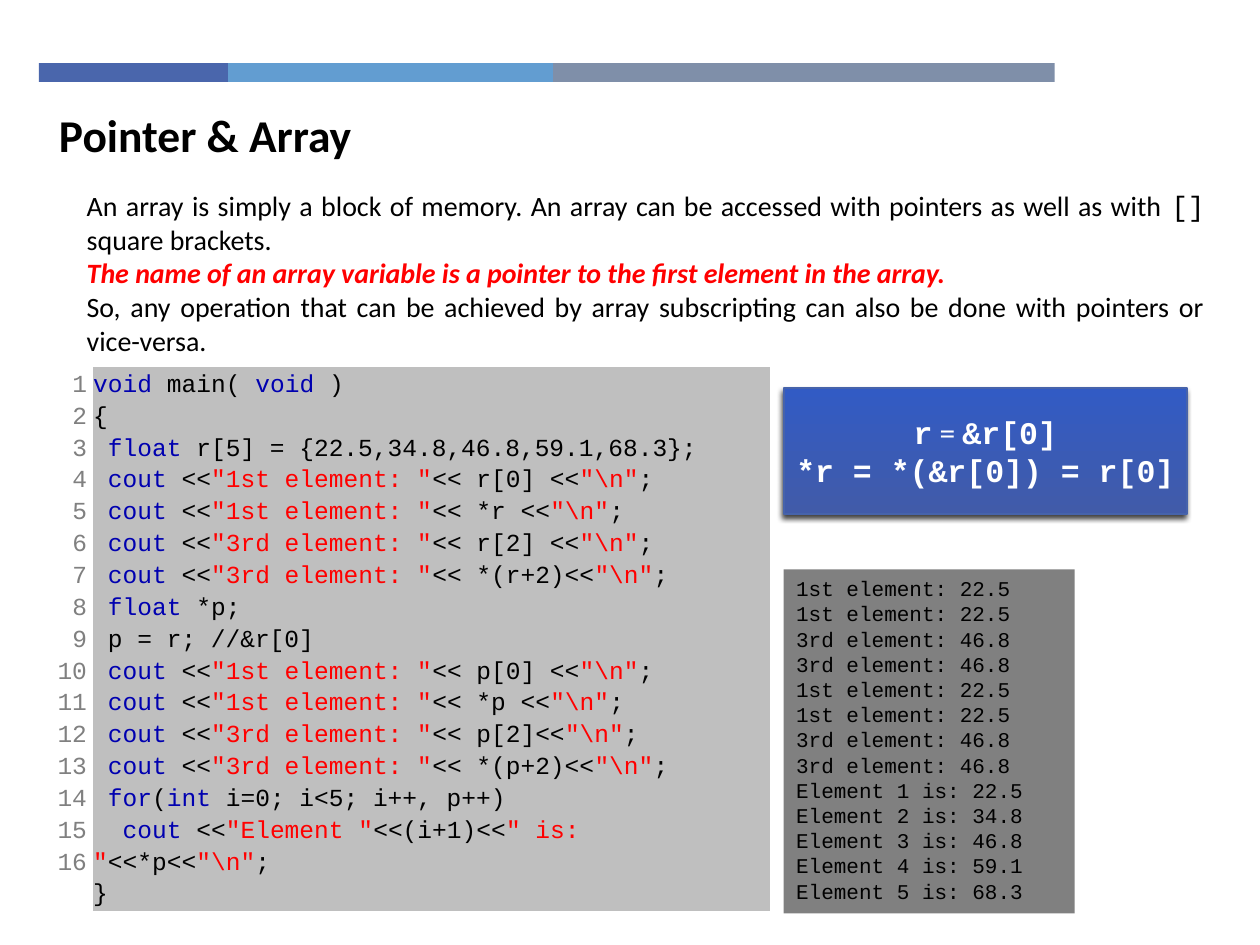
from lxml.etree import SubElement
from pptx import Presentation
from pptx.dml.color import RGBColor
from pptx.enum.shapes import MSO_SHAPE
from pptx.enum.text import MSO_ANCHOR, MSO_AUTO_SIZE, PP_ALIGN
from pptx.oxml.ns import qn
from pptx.util import Inches, Pt

# Content: code keywords stand between backticks, strings between quotes
TITLE = "Pointer & Array"
INTRO = [
    [("An array is simply a block of memory. An array can be accessed "
      "with pointers as well as with ", "body"),
     ("[]", "mono"), (" square brackets. ", "body")],
    [("The name of an array variable is a pointer to the first element "
      "in the array. ", "key")],
    [("So, any operation that can be achieved by array subscripting can "
      "also be done with pointers or vice-versa.", "body")],
]
CODE = r'''
`void` main( `void` )
{
 `float` r[5] = {22.5,34.8,46.8,59.1,68.3};
 `cout` <<"1st element: "<< r[0] <<"\n";
 `cout` <<"1st element: "<< *r <<"\n";
 `cout` <<"3rd element: "<< r[2] <<"\n";
 `cout` <<"3rd element: "<< *(r+2)<<"\n";
 `float` *p;
 p = r; //&r[0]
 `cout` <<"1st element: "<< p[0] <<"\n";
 `cout` <<"1st element: "<< *p <<"\n";
 `cout` <<"3rd element: "<< p[2]<<"\n";
 `cout` <<"3rd element: "<< *(p+2)<<"\n";
 `for`(`int `i=0; i<5; i++, p++)
  `cout` <<"Element "<<(i+1)<<" is: "<<*p<<"\n";
}
'''.strip().split("\n")
VALUES = [22.5, 34.8, 46.8, 59.1, 68.3]
FIRST, THIRD = f"1st element: {VALUES[0]}", f"3rd element: {VALUES[2]}"
OUTPUT = [FIRST, FIRST, THIRD, THIRD] * 2 + [
    f"Element {n} is: {v}" for n, v in enumerate(VALUES, 1)]
RULE = [
    [("r", "rule"), (" = ", "sign"), ("&r[0]", "rule")],
    [("*r = *(&r[0]) = r[0]", "rule")],
]
BARS = [(1.5, "4A66AC"), (2.58, "629DD1"), (3.98, "7F8FA9")]

# Theme: fills, then font, size, colour, bold and italic of each text style
SANS, MONO = "Calibri", "Courier New"
FILL = {"code": "BFBFBF", "output": "808080", "low": "415BA9",
        "high": "325BC4", "edge": "4663AB", "shade": "000000"}
THEME = {
    style: dict(zip(("name", "size", "color", "bold", "italic"), row))
    for style, row in {
        "title": (SANS, 26, "000000", True, False),
        "body": (SANS, 16, "000000", False, False),
        "mono": (MONO, 16, "000000", False, False),
        "key": (SANS, 16, "FF0000", True, True),
        "num": (MONO, 14, "808080", False, False),
        "plain": (MONO, 14, "000000", False, False),
        "word": (MONO, 14, "0000B0", False, False),
        "string": (MONO, 14, "FF0000", False, False),
        "output": (MONO, 12, "000000", False, False),
        "rule": (MONO, 18, "FFFFFF", True, False),
        "sign": (SANS, 18, "FFFFFF", False, False),
    }.items()
}


def rgb(code):
    return RGBColor.from_string(code)


def write(frame, paras, **form):
    """Fill a text frame; form holds the paragraph format values."""
    frame.word_wrap = True
    for i, runs in enumerate(paras):
        para = frame.paragraphs[0] if i == 0 else frame.add_paragraph()
        for name, value in form.items():
            setattr(para, name, value)
        for text, style in runs:
            run = para.add_run()
            run.text = text
            for name, value in THEME[style].items():
                if name == "color":
                    run.font.color.rgb = rgb(value)
                else:
                    setattr(run.font, name, Pt(value) if name == "size" else value)


def lex(line):
    """Cut a code line into (text, style) runs."""
    runs = []
    for i, part in enumerate(line.split('"')):
        if i % 2:
            runs.append((f'"{part}"', "string"))
        else:
            runs += [(bit, "word" if j % 2 else "plain")
                     for j, bit in enumerate(part.split("`")) if bit]
    return runs


def box(slide, area, fill=None):
    shape = slide.shapes.add_shape(MSO_SHAPE.RECTANGLE, *map(Inches, area))
    shape.shadow.inherit = False
    shape.line.fill.background()
    if fill:
        shape.fill.solid()
        shape.fill.fore_color.rgb = rgb(fill)
    return shape


def label(slide, area, paras, **form):
    text = slide.shapes.add_textbox(*map(Inches, area))
    write(text.text_frame, paras, **form)


def listing(slide):
    widths = (0.39, 5.39)
    area = map(Inches, (0.34, 2.91, sum(widths), 4.33))
    table = slide.shapes.add_table(1, 2, *area).table
    table.first_row = table.horz_banding = False
    for col, width in zip(table.columns, widths):
        col.width = Inches(width)
    nums = [[(str(n), "num")] for n in range(1, len(CODE) + 1)]
    cells = [(nums, PP_ALIGN.RIGHT, 0.04, None),
             (map(lex, CODE), PP_ALIGN.LEFT, 0.01, FILL["code"])]
    for cell, (paras, align, right, fill) in zip(table.rows[0].cells, cells):
        for side in ("left", "top", "bottom"):
            setattr(cell, f"margin_{side}", Inches(0.01))
        cell.margin_right = Inches(right)
        if fill:
            cell.fill.solid()
            cell.fill.fore_color.rgb = rgb(fill)
        else:
            cell.fill.background()
        write(cell.text_frame, paras, alignment=align, line_spacing=1.15)


def callout(slide):
    shape = box(slide, (6.22, 3.08, 3.2, 1))
    shape.fill.gradient()
    shape.fill.gradient_angle = 90
    for stop, tone in zip(shape.fill.gradient_stops, ("low", "high")):
        stop.color.rgb = rgb(FILL[tone])
    shape.line.color.rgb = rgb(FILL["edge"])
    shape.line.width = Pt(1)
    # Soft shadow below the box
    effects = shape._element.spPr.find(qn("a:effectLst"))
    shade = SubElement(effects, qn("a:outerShdw"), blurRad=str(Pt(3)),
                       dist=str(Pt(2)), dir=str(110 * 60000), rotWithShape="0")
    tone = SubElement(shade, qn("a:srgbClr"), val=FILL["shade"])
    SubElement(tone, qn("a:alpha"), val="75000")
    shape.text_frame.vertical_anchor = MSO_ANCHOR.MIDDLE
    write(shape.text_frame, RULE, alignment=PP_ALIGN.CENTER)


def main():
    deck = Presentation()
    deck.slide_width, deck.slide_height = Inches(10), Inches(7.5)
    slide = deck.slides.add_slide(deck.slide_layouts[6])

    # Colour band
    left = 0.31
    for width, fill in BARS:
        box(slide, (left, 0.5, width, 0.15), fill)
        left += width

    # Code and its output
    listing(slide)
    result = box(slide, (6.22, 4.52, 2.31, 2.73), FILL["output"])
    result.text_frame.vertical_anchor = MSO_ANCHOR.TOP
    write(result.text_frame, [[(line, "output")] for line in OUTPUT],
          alignment=PP_ALIGN.LEFT)
    result.text_frame.auto_size = MSO_AUTO_SIZE.SHAPE_TO_FIT_TEXT

    # Heading, introduction and rule
    label(slide, (0.59, 1.45, 9.07, 1.43), INTRO, alignment=PP_ALIGN.JUSTIFY)
    label(slide, (0.37, 0.8, 7.16, 0.54), [[(TITLE, "title")]])
    callout(slide)
    deck.save("out.pptx")


if __name__ == "__main__":
    main()
